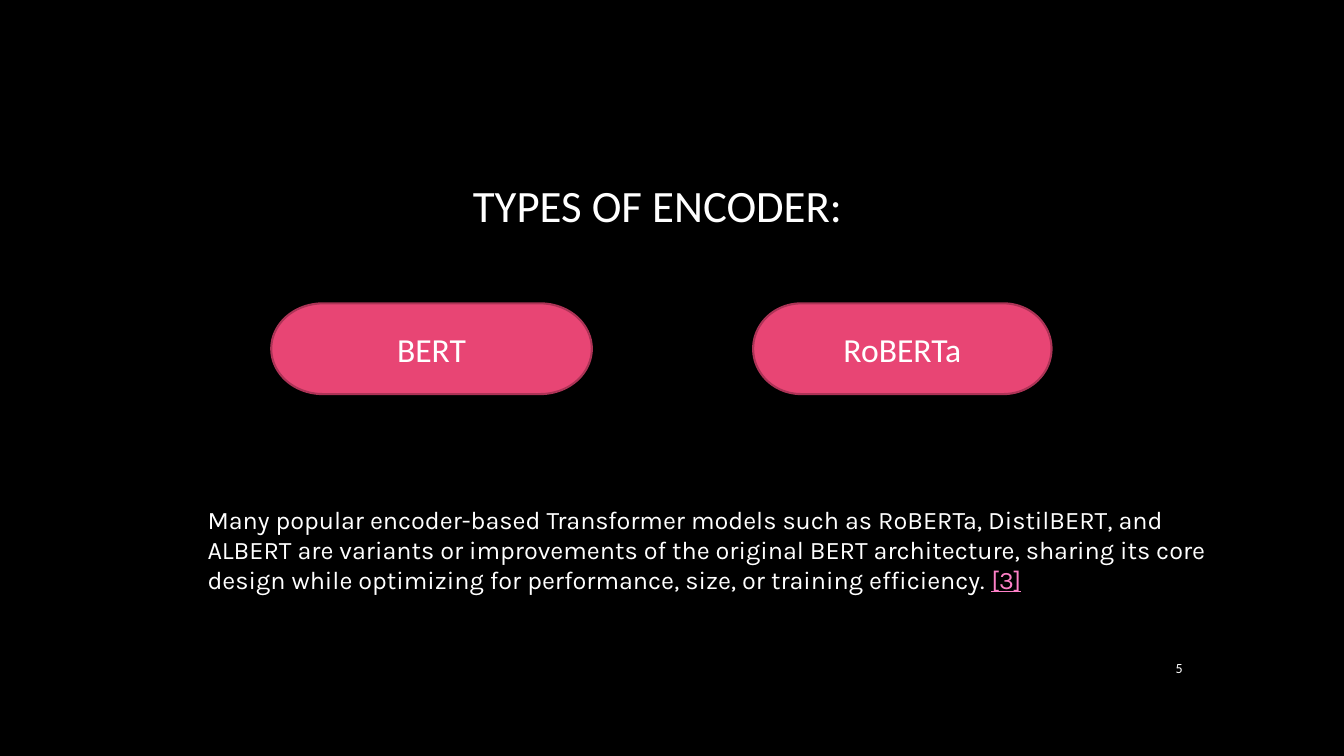
from pptx import Presentation
from pptx import util as u
from pptx.dml.color import RGBColor
from pptx.enum import shapes, text

WHITE, PINK, EDGE, LINK = "FFFFFF", "E84574", "AC3356", "FE80C7"
LEFT, MID, RIGHT = text.PP_ALIGN.LEFT, text.PP_ALIGN.CENTER, text.PP_ALIGN.RIGHT
TOP, CENTER = text.MSO_ANCHOR.TOP, text.MSO_ANCHOR.MIDDLE


def paint(target, code):
    """Give a fill or a font a solid colour."""
    if hasattr(target, "solid"):
        target.solid()
        target.fore_color.rgb = RGBColor.from_string(code)
    else:
        target.color.rgb = RGBColor.from_string(code)


class Deck:
    def __init__(self, back):
        self.prs = Presentation()
        self.prs.slide_width = u.Inches(13.33)
        self.prs.slide_height = u.Inches(7.5)
        self.slide = self.prs.slides.add_slide(self.prs.slide_layouts[5])
        paint(self.slide.background.fill, back)

    def put(self, shape, runs, size, face="Calibri", align=LEFT, anchor=TOP):
        """Fill a shape with one paragraph of (words, format) runs."""
        frame = shape.text_frame
        look = {"word_wrap": True, "vertical_anchor": anchor,
                "auto_size": text.MSO_AUTO_SIZE.NONE}
        for key, value in look.items():
            setattr(frame, key, value)
        para = frame.paragraphs[0]
        para.alignment = align
        for words, extra in runs:
            run = para.add_run()
            run.text = words
            style = {"size": u.Pt(size), "name": face, "color": WHITE} | extra
            paint(run.font, style.pop("color"))
            for key, value in style.items():
                setattr(run.font, key, value)

    def title(self, words, box):
        shape = self.slide.shapes.title
        for key, value in zip(("left", "top", "width", "height"), box):
            setattr(shape, key, u.Inches(value))
        self.put(shape, [(words, {})], 32)

    def label(self, runs, box, size, **style):
        shape = self.slide.shapes.add_textbox(*map(u.Inches, box))
        self.put(shape, runs, size, **style)

    def pill(self, words, box):
        kind = shapes.MSO_SHAPE.FLOWCHART_TERMINATOR
        shape = self.slide.shapes.add_shape(kind, *map(u.Inches, box))
        shape.shadow.inherit = False
        paint(shape.fill, PINK)
        paint(shape.line, EDGE)
        shape.line.width = u.Pt(1.5)
        self.put(shape, [(words, {})], 24, align=MID, anchor=CENTER)


def main():
    deck = Deck("000000")

    # Heading
    deck.title("TYPES OF ENCODER:", (4.59, 1.71, 4.07, 0.64))

    # Encoder types
    for name, left, width in (("BERT", 2.69, 3.18), ("RoBERTa", 7.47, 2.96)):
        deck.pill(name, (left, 3.01, width, 0.9))

    # Summary with its reference
    deck.label([
        ("Many popular encoder-based Transformer models such as RoBERTa, "
         "DistilBERT, and ALBERT are variants or improvements of the original "
         "BERT architecture, sharing its core design while optimizing for "
         "performance, size, or training efficiency. ", {}),
        ("[3]", {"color": LINK, "underline": True}),
    ], (1.96, 4.95, 10.12, 1.01), 18, face="Karla")

    # Page number
    deck.label([("5", {})], (11.23, 6.42, 0.6, 0.41), 10,
               align=RIGHT, anchor=CENTER)

    deck.prs.save("out.pptx")


if __name__ == "__main__":
    main()
